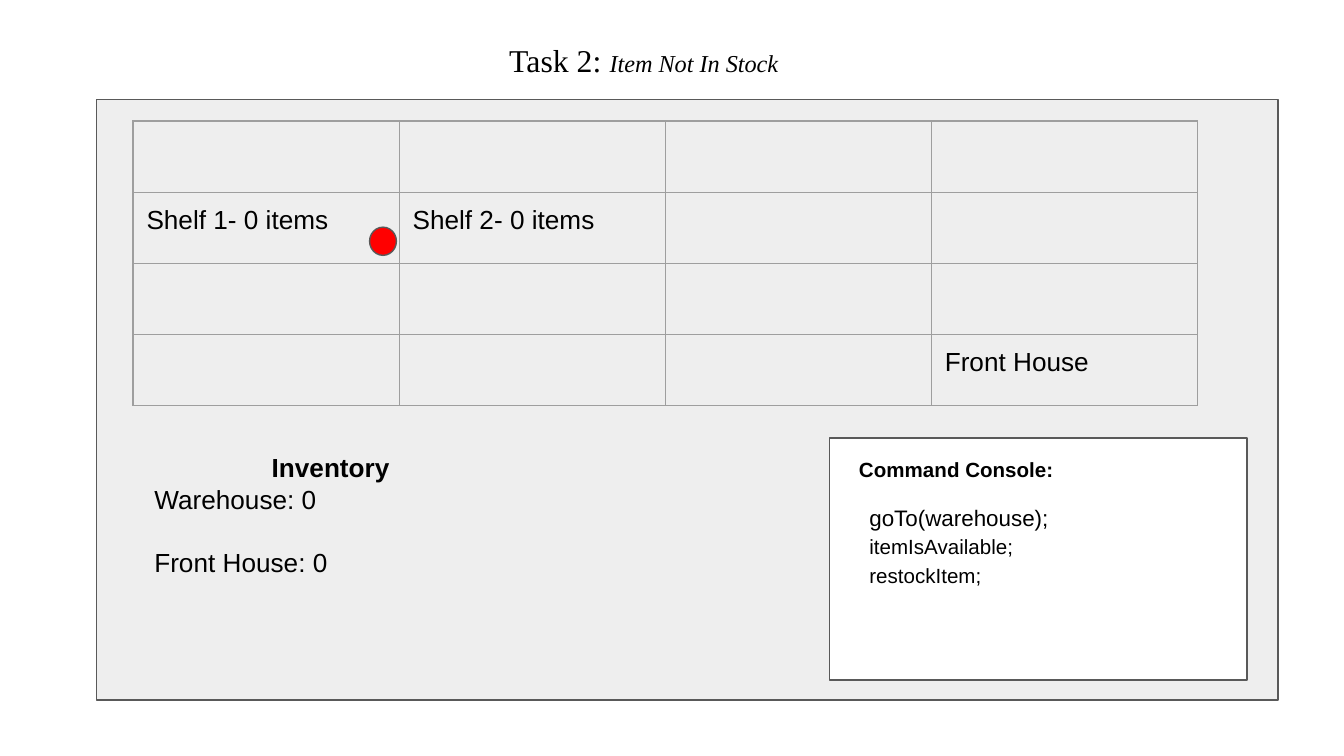
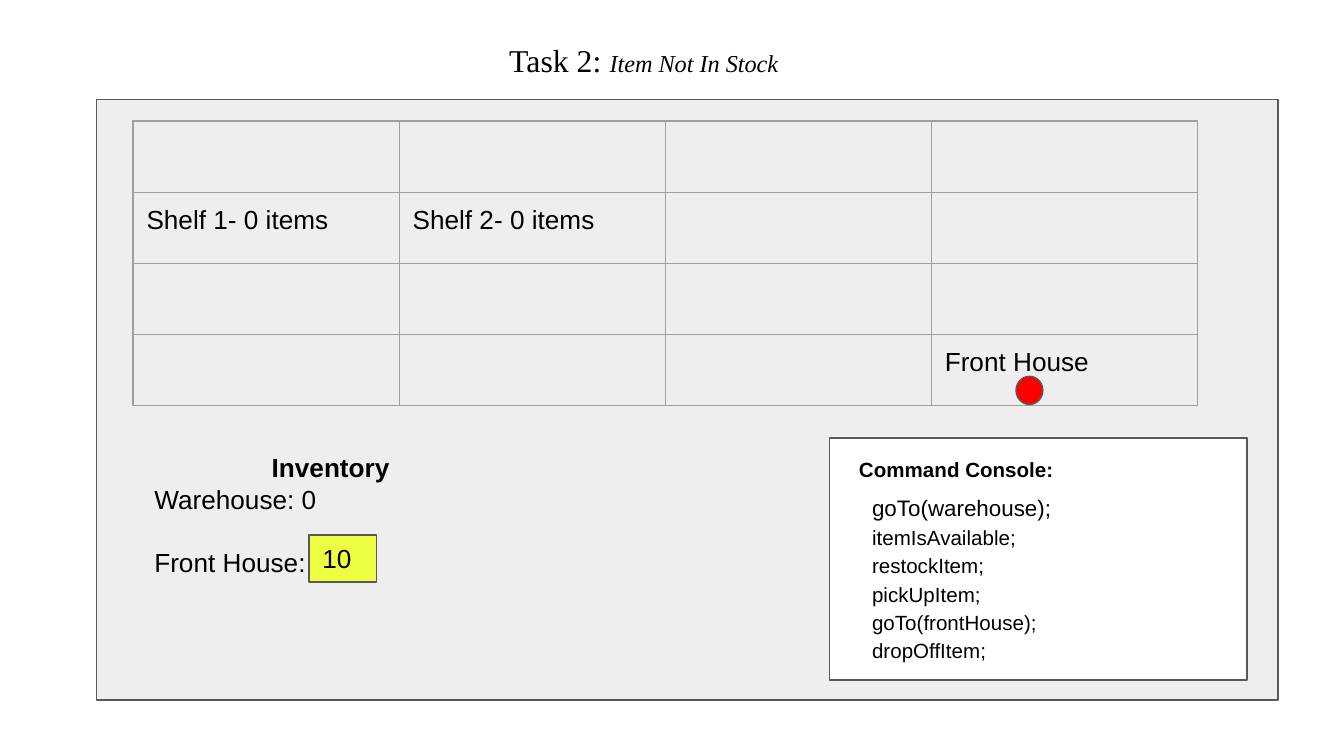
from lxml import etree
from pptx import Presentation, util as u
from pptx.dml.color import RGBColor
from pptx.enum import shapes, text
from pptx.oxml.ns import qn

PX = 9144  # 100 px to the inch
BLACK = RGBColor(0x00, 0x00, 0x00)
WHITE = RGBColor(0xFF, 0xFF, 0xFF)
PANEL = RGBColor(0xEE, 0xEE, 0xEE)
EDGE = RGBColor(0x59, 0x59, 0x59)
GRID = RGBColor(0x9E, 0x9E, 0x9E)
RED = RGBColor(0xFF, 0x00, 0x00)
YELLOW = RGBColor(0xEE, 0xFF, 0x41)
RECT = shapes.MSO_SHAPE.RECTANGLE
DOT = shapes.MSO_SHAPE.FLOWCHART_CONNECTOR
CENTER, LEFT = text.PP_ALIGN.CENTER, text.PP_ALIGN.LEFT

CELLS = {(1, 0): "Shelf 1- 0 items", (1, 1): "Shelf 2- 0 items", (3, 3): "Front House"}
# Each step: robot place, front house line, stock badge, code place, commands
STEPS = [
    ((275, 169), "Front House: 0", None, (637, 365, 271, 80),
     ["goTo(warehouse);", "itemIsAvailable;", "restockItem;"]),
    ((756, 280), "Front House:", "10", (639, 358, 271, 200),
     ["goTo(warehouse);", "itemIsAvailable;", "restockItem;",
      "pickUpItem;", "goTo(frontHouse);", "dropOffItem;"]),
]


def draw(kind, at, fill):
    shape = slide.shapes.add_shape(kind, *[n * PX for n in at])
    shape.shadow.inherit = False
    shape.fill.solid()
    shape.fill.fore_color.rgb = fill
    shape.line.color.rgb = EDGE
    shape.line.width = u.Pt(0.75)
    return shape


def write(frame, lines, size=14, align=LEFT, face="Arial"):
    frame.word_wrap = True
    frame.margin_left = frame.margin_right = 10 * PX
    frame.margin_top = frame.margin_bottom = 10 * PX
    frame.text = "\n".join(lines)
    for para in frame.paragraphs:
        para.alignment = align
        for run in para.runs:
            run.font.size, run.font.name = u.Pt(size), face
            run.font.color.rgb = BLACK
    return frame.paragraphs


# Widescreen 16:9
deck = Presentation()
deck.slide_width = 1000 * PX
deck.slide_height = deck.slide_width * 9 // 16

for robot, front, badge, place, code in STEPS:
    slide = deck.slides.add_slide(deck.slide_layouts[6])
    slide.background.fill.solid()
    slide.background.fill.fore_color.rgb = WHITE

    # Floor and console panels
    draw(RECT, (72, 74, 879, 447), PANEL)
    draw(RECT, (617, 326, 311, 180), WHITE)

    # Warehouse grid
    table = slide.shapes.add_table(4, 4, 99 * PX, 90 * PX, 792 * PX, 212 * PX).table
    table.first_row = table.horz_banding = False
    for col in table.columns:
        col.width = 198 * PX
    for r, row in enumerate(table.rows):
        row.height = 53 * PX
        for c, cell in enumerate(row.cells):
            props = cell._tc.get_or_add_tcPr()
            for side in ("a:lnL", "a:lnR", "a:lnT", "a:lnB"):
                line = etree.SubElement(props, qn(side), w=str(u.Pt(0.75)))
                paint = etree.SubElement(line, qn("a:solidFill"))
                etree.SubElement(paint, qn("a:srgbClr"), val=str(GRID))
            cell.fill.background()
            cell.margin_left = cell.margin_right = 10 * PX
            cell.margin_top = cell.margin_bottom = 10 * PX
            if (r, c) in CELLS:
                cell.text_frame.text = CELLS[r, c]
                font = cell.text_frame.paragraphs[0].runs[0].font
                font.size, font.name = u.Pt(14), "Arial"
                font.color.rgb = BLACK

    # Inventory
    box = slide.shapes.add_textbox(105 * PX, 326 * PX, 282 * PX, 114 * PX)
    paras = write(box.text_frame, ["Inventory", "Warehouse: 0", front])
    paras[0].alignment = CENTER
    paras[0].runs[0].font.bold = True
    paras[2].space_before = u.Pt(17)

    # Console heading
    box = slide.shapes.add_textbox(519 * PX, 327 * PX, 385 * PX, 86 * PX)
    head = write(box.text_frame, ["Command Console:"], 11, CENTER)[0]
    head.line_spacing = 1.15
    head.runs[0].font.bold = True

    # Title
    box = slide.shapes.add_textbox(211 * PX, 20 * PX, 536 * PX, 49 * PX)
    title = write(box.text_frame, ["Task 2: "], 17, CENTER, "Times New Roman")[0]
    run = title.add_run()
    run.text = "Item Not In Stock"
    run.font.size, run.font.name = u.Pt(13), "Times New Roman"
    run.font.italic = True
    run.font.color.rgb = BLACK

    # Robot
    draw(DOT, (*robot, 20, 21), RED)

    # Commands
    box = slide.shapes.add_textbox(*[n * PX for n in place])
    paras = write(box.text_frame, code, 11)
    paras[0].runs[0].font.size = u.Pt(12)
    for para in paras[1:]:
        para.line_spacing = 1.15

    # Highlighted stock
    if badge:
        mark = draw(RECT, (230, 398, 50, 35), YELLOW)
        mark.text_frame.vertical_anchor = text.MSO_ANCHOR.MIDDLE
        write(mark.text_frame, [badge])

deck.save("out.pptx")
